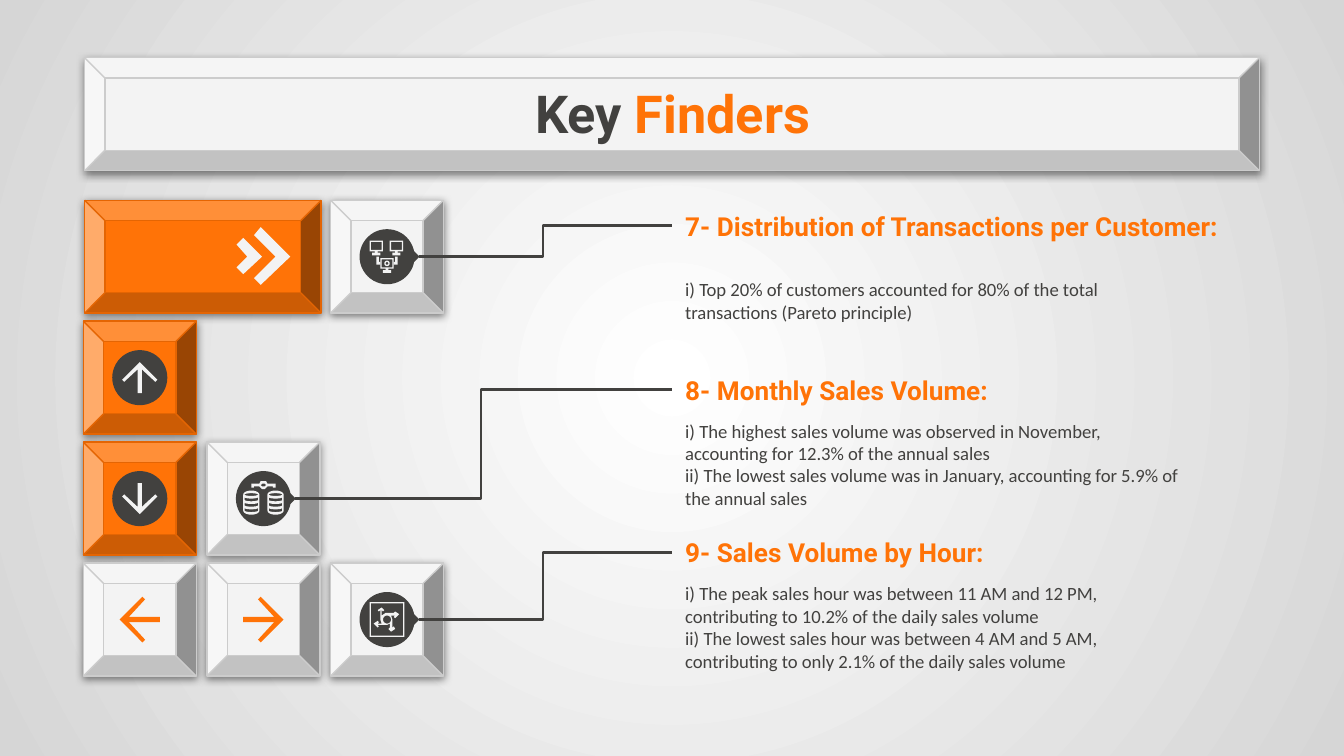
import math
import lxml.etree
import pptx
import pptx.dml.color
import pptx.enum.shapes
import pptx.enum.text
import pptx.oxml.ns
import pptx.util

Inches = pptx.util.Inches
Pt = pptx.util.Pt
RGBColor = pptx.dml.color.RGBColor
qn = pptx.oxml.ns.qn
MSO_SHAPE = pptx.enum.shapes.MSO_SHAPE
MIDDLE = pptx.enum.text.MSO_ANCHOR.MIDDLE

COLORS = {"dark": "42413F", "orange": "FF7307", "orange_edge": "E46503",
          "light": "F3F3F3", "light_edge": "CCCCCC", "center": "FFFFFF", "rim": "D6D6D6"}
COLORS = {name: RGBColor.from_string(value) for name, value in COLORS.items()}

presentation = pptx.Presentation()
presentation.slide_width = Inches(10)
presentation.slide_height = Inches(10 * 9 / 16)
slide = presentation.slides.add_slide(presentation.slide_layouts[5])
shapes = slide.shapes

background = slide.background.fill
background.gradient()
for stop, name in zip(background.gradient_stops, ("center", "rim")):
    stop.color.rgb = COLORS[name]
gradient = slide.element.find(".//" + qn("a:gradFill"))
gradient.remove(gradient.find(qn("a:lin")))
circle = lxml.etree.SubElement(gradient, qn("a:path"), {"path": "circle"})
lxml.etree.SubElement(circle, qn("a:fillToRect"), dict.fromkeys("ltrb", "50000"))


def add_bevel(left, top, width, height, color):
    shape = shapes.add_shape(MSO_SHAPE.BEVEL, Inches(left), Inches(top), Inches(width), Inches(height))
    shape.adjustments[0] = 0.18
    shape.fill.solid()
    shape.fill.fore_color.rgb = COLORS[color]
    shape.line.color.rgb = COLORS[color + "_edge"]
    shape.line.width = Pt(0.75)
    shape.shadow.inherit = False
    effects = shape.element.spPr.find(qn("a:effectLst"))
    shadow = lxml.etree.SubElement(effects, qn("a:outerShdw"), {
        "blurRad": str(Pt(4.5)), "dist": str(Pt(1.5)), "dir": "5400000",
        "algn": "bl", "rotWithShape": "0"})
    black = lxml.etree.SubElement(shadow, qn("a:srgbClr"), {"val": "000000"})
    lxml.etree.SubElement(black, qn("a:alpha"), {"val": "50000"})


def add_outline(contours, color, center=(0, 0), scale=1, turn=(1, 0)):
    placed = [[(Inches(center[0] + scale * (x * turn[0] - y * turn[1])),
                Inches(center[1] + scale * (x * turn[1] + y * turn[0]))) for x, y in contour]
              for contour in contours]
    builder = shapes.build_freeform(*placed[0][0], scale=1.0)
    for index, contour in enumerate(placed):
        if index:
            builder.move_to(*contour[0])
        builder.add_line_segments(contour[1:], close=True)
    shape = builder.convert_to_shape()
    shape.fill.solid()
    shape.fill.fore_color.rgb = COLORS[color]
    shape.line.fill.background()
    shape.shadow.inherit = False


add_bevel(0.63, 0.43, 8.74, 0.84, "light")
add_bevel(0.63, 1.49, 1.76, 0.84, "orange")

GRID_LEFT, GRID_TOP, COLUMN_STEP, ROW_STEP, KEY, DISC = 0.62, 1.49, 0.92, 0.9, 0.84, 0.41
keys = [(2, 0, "light", True), (0, 1, "orange", True), (0, 2, "orange", True),
        (1, 2, "light", True), (0, 3, "light", False), (1, 3, "light", False),
        (2, 3, "light", True)]
for column, row, color, has_disc in keys:
    left = GRID_LEFT + column * COLUMN_STEP
    top = GRID_TOP + row * ROW_STEP
    add_bevel(left, top, KEY, KEY, color)
    if has_disc:
        inset = (KEY - DISC) / 2
        disc = shapes.add_shape(MSO_SHAPE.OVAL, Inches(left + inset), Inches(top + inset),
                                Inches(DISC), Inches(DISC))
        disc.fill.solid()
        disc.fill.fore_color.rgb = COLORS["dark"]
        disc.line.fill.background()
        disc.shadow.inherit = False

big_chevron = [(2.16, 1.91), (1.94, 1.69), (1.89, 1.75), (2.05, 1.91), (1.89, 2.07), (1.94, 2.12)]
small_chevron = [(1.95, 1.91), (1.81, 1.77), (1.76, 1.82), (1.84, 1.91), (1.76, 1.99), (1.81, 2.04)]
add_outline([big_chevron], "light")
add_outline([small_chevron], "light")

arrow = [(0.15, 0), (-0.02, -0.17), (-0.04, -0.15), (0.08, -0.02), (-0.15, -0.02),
         (-0.15, 0.02), (0.08, 0.02), (-0.04, 0.15), (-0.02, 0.17)]
for center, color, scale, turn in [((1.04, 2.81), "light", 0.77, (0, -1)),
                                   ((1.04, 3.71), "light", 0.77, (0, 1)),
                                   ((1.04, 4.61), "orange", 1, (-1, 0)),
                                   ((1.96, 4.61), "orange", 1, (1, 0))]:
    add_outline([arrow], color, center, scale, turn)

unit_circle = [(math.cos(math.tau * i / 24), math.sin(math.tau * i / 24)) for i in range(24)]
lower_arc = [(math.cos(math.pi * i / 12), math.sin(math.pi * i / 12)) for i in range(13)]

monitor = [[(-0.05, 0), (-0.05, 0.08), (-0.01, 0.08), (-0.01, 0.09), (-0.03, 0.09), (-0.03, 0.11),
            (0.03, 0.11), (0.03, 0.09), (0.01, 0.09), (0.01, 0.08), (0.05, 0.08), (0.05, 0)],
           [(-0.04, 0.01), (-0.04, 0.07), (0.04, 0.07), (0.04, 0.01)]]
for center in [(2.8, 1.79), (2.95, 1.79), (2.88, 1.92)]:
    add_outline(monitor, "light", center)
link = [(0.06, 0), (0.06, 0.04), (0.05, 0.04), (0.05, 0.06), (0.08, 0.06), (0.08, 0)]
for side in (-1, 1):
    add_outline([[(side * x, y) for x, y in link]], "light", (2.88, 1.91))
add_outline([[(r * x, r * y) for x, y in unit_circle] for r in (0.02, 0.01)], "light", (2.88, 1.96))

cylinder = [[(0.06 * x, 0.06 + 0.03 * y) for x, y in lower_arc]
            + [(-0.06 * x, -0.06 - 0.03 * y) for x, y in lower_arc],
            [(0.05 * x, -0.06 + 0.01 * y) for x, y in unit_circle]]
for band in range(3):
    upper = -0.04 + 0.04 * band
    cylinder.append([(0.05 * x, upper + 0.02 + 0.01 * y) for x, y in lower_arc]
                    + [(-0.05 * x, upper + 0.01 * y) for x, y in lower_arc])
for center_x in (1.87, 2.05):
    add_outline(cylinder, "light", (center_x, 3.74))
bridge = [[(-0.02, -0.03), (-0.03, -0.01), (-0.09, -0.01), (-0.09, 0.02), (-0.07, 0.02),
           (-0.07, 0.01), (-0.03, 0.01), (-0.01, 0.03), (0.01, 0.03), (0.03, 0.01),
           (0.07, 0.01), (0.07, 0.02), (0.09, 0.02), (0.09, -0.01), (0.03, -0.01), (0.02, -0.03)],
          [(-0.01, -0.01), (-0.02, 0), (-0.01, 0.01), (0.01, 0.01), (0.02, 0), (0.01, -0.01)]]
add_outline(bridge, "light", (1.96, 3.61))

square = [[(-r, -r), (r, -r), (r, r), (-r, r)] for r in (0.13, 0.12)]
add_outline(square, "light", (2.88, 4.61))
cycle = [(2.84, 4.52), (2.81, 4.54), (2.82, 4.55), (2.83, 4.54), (2.83, 4.61), (2.84, 4.64),
         (2.81, 4.64), (2.82, 4.63), (2.81, 4.62), (2.78, 4.64), (2.81, 4.67), (2.82, 4.66),
         (2.81, 4.65), (2.88, 4.65), (2.9, 4.64), (2.9, 4.67), (2.89, 4.68), (2.91, 4.7),
         (2.94, 4.68), (2.93, 4.66), (2.92, 4.67), (2.92, 4.61), (2.91, 4.58), (2.94, 4.58),
         (2.93, 4.59), (2.94, 4.6), (2.97, 4.57), (2.94, 4.55), (2.93, 4.56), (2.87, 4.56),
         (2.84, 4.58), (2.84, 4.54), (2.85, 4.55), (2.86, 4.54)]
add_outline([cycle, [(2.88 + 0.03 * x, 4.61 + 0.03 * y) for x, y in unit_circle]], "light")

title = shapes.title
shapes.element.append(title.element)
title.left, title.top, title.width, title.height = Inches(0.79), Inches(0.59), Inches(8.43), Inches(0.5)

sections = [
    (1.48, 5.69, "7- Distribution of Transactions per Customer:",
     ["i) Top 20% of customers accounted for 80% of the total transactions (Pareto principle)"]),
    (2.7, 3.87, "8- Monthly Sales Volume:",
     ["i) The highest sales volume was observed in November, accounting for 12.3% of the annual sales",
      "ii) The lowest sales volume was in January, accounting for 5.9% of the annual sales"]),
    (3.91, 3.87, "9- Sales Volume by Hour:",
     ["i) The peak sales hour was between 11 AM and 12 PM, contributing to 10.2% of the daily sales volume",
      "ii) The lowest sales hour was between 4 AM and 5 AM, contributing to only 2.1% of the daily sales volume"])]
texts = [(title, [[("Key ", "dark"), ("Finders", "orange")]], "Roboto", 28)]
for top, width, heading, findings in sections:
    heading_box = shapes.add_textbox(Inches(5), Inches(top), Inches(width), Inches(0.4))
    findings_box = shapes.add_textbox(Inches(5), Inches(top + 0.39), Inches(3.87), Inches(0.73))
    texts.append((heading_box, [[(heading, "orange")]], "Roboto", 14))
    texts.append((findings_box, [[(finding, "dark")] for finding in findings], "Calibri", 10))

for shape, lines, font_name, size in texts:
    frame = shape.text_frame
    frame.word_wrap = True
    frame.auto_size = pptx.enum.text.MSO_AUTO_SIZE.NONE
    frame.vertical_anchor = MIDDLE
    frame.margin_left = frame.margin_right = frame.margin_top = frame.margin_bottom = Inches(0.1)
    for index, runs in enumerate(lines):
        paragraph = frame.add_paragraph() if index else frame.paragraphs[0]
        for text, color in runs:
            run = paragraph.add_run()
            run.text = text
            run.font.name = font_name
            run.font.size = Pt(size)
            run.font.bold = font_name == "Roboto"
            run.font.color.rgb = COLORS[color]
title.text_frame.paragraphs[0].alignment = pptx.enum.text.PP_ALIGN.CENTER

for start_y, end_x, end_y in [(1.68, 3.08, 1.91), (2.9, 2.16, 3.71), (4.11, 3.08, 4.61)]:
    connector = shapes.add_connector(pptx.enum.shapes.MSO_CONNECTOR.ELBOW, Inches(5),
                                     Inches(start_y), Inches(end_x), Inches(end_y))
    connector.line.color.rgb = COLORS["dark"]
    connector.line.width = Pt(1.5)
    properties = connector.element.spPr
    lxml.etree.SubElement(properties.find(qn("a:ln")), qn("a:tailEnd"), {"type": "diamond"})
    lxml.etree.SubElement(properties, qn("a:effectLst"))

presentation.save("out.pptx")
